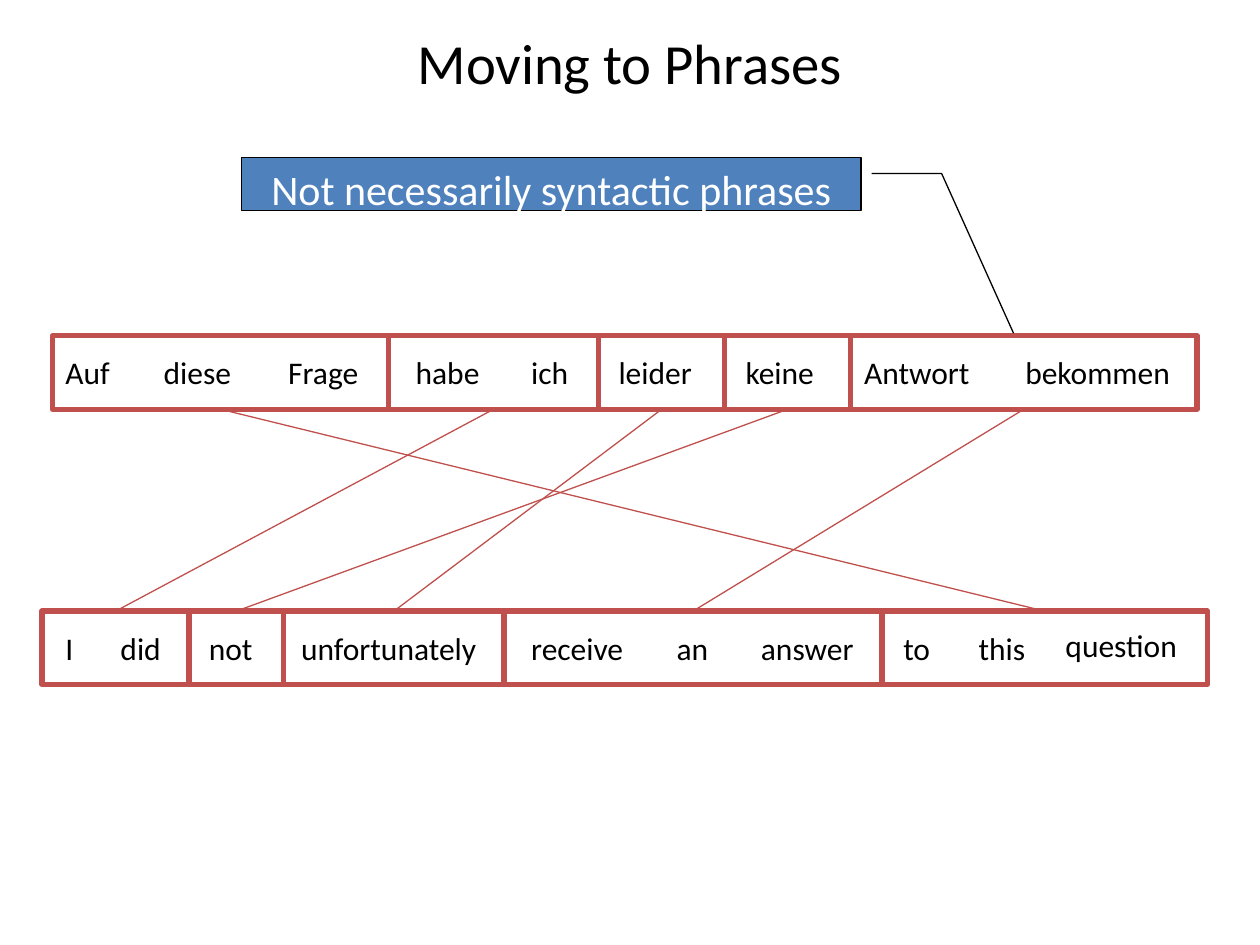
from lxml.etree import SubElement
from pptx import Presentation
from pptx.dml.color import RGBColor
from pptx.enum.shapes import MSO_CONNECTOR, MSO_SHAPE
from pptx.enum.text import MSO_ANCHOR, MSO_AUTO_SIZE, PP_ALIGN
from pptx.oxml.ns import qn
from pptx.util import Cm, Pt

COLORS = {"text": "000000", "phrase": "C0504D", "callout": "4F81BD", "white": "FFFFFF"}
ROW_HEIGHT = 1.48
WORD_HEIGHT = 1.02

# Phrase edges in cm, then each word with its left, top and width
german = {
    "top": 6.77,
    "edges": [1.06, 7.83, 12.07, 14.61, 17.15, 24.13],
    "words": [
        ("Auf", 1.07, 6.99, 1.47), ("diese", 3.05, 6.99, 1.88), ("Frage", 5.56, 6.99, 1.93),
        ("habe", 8.13, 6.99, 1.83), ("ich", 10.46, 6.99, 1.27), ("leider", 12.22, 6.99, 2.06),
        ("keine", 14.78, 6.99, 1.9), ("Antwort", 17.17, 6.99, 2.77),
        ("bekommen", 20.42, 6.99, 3.45),
    ],
}
english = {
    "top": 12.32,
    "edges": [0.85, 3.81, 5.72, 10.16, 17.78, 24.34],
    "words": [
        ("I", 1.07, 12.55, 0.69), ("did", 2.18, 12.55, 1.35), ("not", 3.96, 12.55, 1.4),
        ("unfortunately", 5.82, 12.55, 4.09), ("receive", 10.46, 12.55, 2.39),
        ("an", 13.39, 12.55, 1.17), ("answer", 15.09, 12.55, 2.41),
        ("to", 17.96, 12.55, 1.07), ("this", 19.48, 12.55, 1.47),
        ("question", 21.23, 12.5, 2.79),
    ],
}
# English phrase aligned with each German phrase, in German order
alignment = [4, 0, 2, 1, 3]


def color(name):
    return RGBColor.from_string(COLORS[name])


def write(shape, text, size, color_name, align):
    para = shape.text_frame.paragraphs[0]
    para.text = text
    para.alignment = align
    para.font.name = "Calibri"
    para.font.size = Pt(size)
    para.font.color.rgb = color(color_name)


deck = Presentation()
deck.slide_width, deck.slide_height = Cm(25.4), Cm(19.05)
page = deck.slides.add_slide(deck.slide_layouts[6])

title = page.shapes.add_textbox(Cm(1.27), Cm(0.76), Cm(22.86), Cm(0.99))
title.text_frame.word_wrap = True
title.text_frame.vertical_anchor = MSO_ANCHOR.MIDDLE
write(title, "Moving to Phrases", 32.4, "text", PP_ALIGN.CENTER)

phrase_rows = []
for sentence in (german, english):
    for word, left, top, width in sentence["words"]:
        box = page.shapes.add_textbox(Cm(left), Cm(top), Cm(width), Cm(WORD_HEIGHT))
        box.text_frame.word_wrap = False
        box.text_frame.auto_size = MSO_AUTO_SIZE.SHAPE_TO_FIT_TEXT
        write(box, word, 18, "text", PP_ALIGN.JUSTIFY)

    phrases = []
    for left, right in zip(sentence["edges"], sentence["edges"][1:]):
        phrase = page.shapes.add_shape(
            MSO_SHAPE.RECTANGLE, Cm(left), Cm(sentence["top"]), Cm(right - left), Cm(ROW_HEIGHT)
        )
        phrase.shadow.inherit = False
        phrase.fill.background()
        phrase.line.color.rgb = color("phrase")
        phrase.line.width = Pt(3)
        phrases.append(phrase)
    phrase_rows.append(phrases)

german_phrases, english_phrases = phrase_rows
for source, target in zip(german_phrases, alignment):
    link = page.shapes.add_connector(MSO_CONNECTOR.STRAIGHT, 0, 0, 0, 0)
    link.begin_connect(source, 2)
    link.end_connect(english_phrases[target], 0)
    link.line.color.rgb = color("phrase")
    link.line.width = Pt(0.75)
    SubElement(link._element.spPr, qn("a:effectLst"))

callout = page.shapes.add_shape(
    MSO_SHAPE.LINE_CALLOUT_2, Cm(4.87), Cm(3.18), Cm(12.49), Cm(1.06)
)
for index, value in enumerate([0.3, 1.017, 0.3, 1.13, 3.337, 1.246]):
    callout.adjustments[index] = value
callout.shadow.inherit = False
callout.fill.solid()
callout.fill.fore_color.rgb = color("callout")
callout.line.color.rgb = color("text")
callout.line.width = Pt(0.75)
callout.text_frame.vertical_anchor = MSO_ANCHOR.TOP
write(callout, "Not necessarily syntactic phrases", 24, "white", PP_ALIGN.CENTER)

deck.save("out.pptx")
